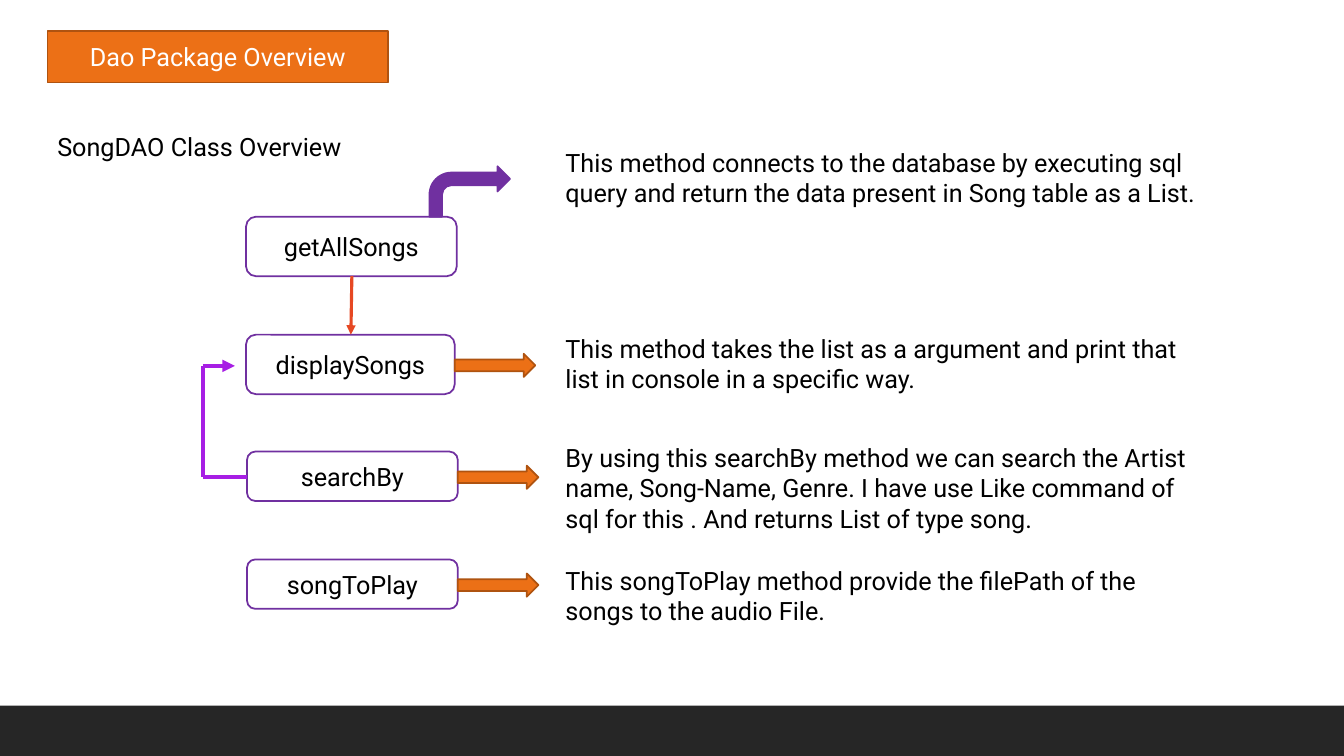
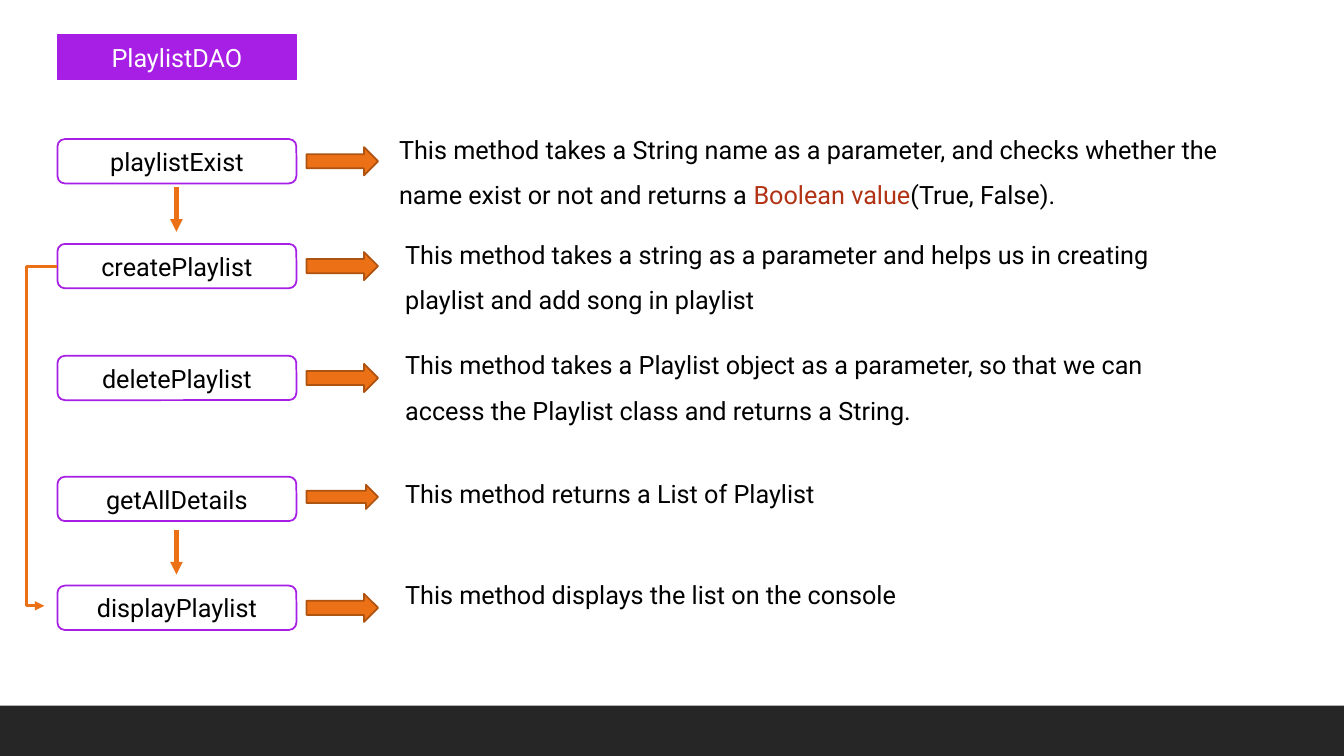
from dataclasses import dataclass

from lxml import etree
from pptx import Presentation
from pptx.dml.color import RGBColor
from pptx.enum.shapes import MSO_CONNECTOR, MSO_SHAPE
from pptx.enum.text import MSO_ANCHOR, MSO_AUTO_SIZE, PP_ALIGN
from pptx.oxml.ns import qn
from pptx.shapes.autoshape import Shape
from pptx.slide import Slide
from pptx.text.text import TextFrame
from pptx.util import Inches, Pt

ROUND = MSO_SHAPE.ROUNDED_RECTANGLE
RECT = MSO_SHAPE.RECTANGLE
RIGHT = MSO_SHAPE.RIGHT_ARROW
BENT = MSO_SHAPE.BENT_ARROW
LINE = MSO_CONNECTOR.STRAIGHT
LEFT, CENTER = PP_ALIGN.LEFT, PP_ALIGN.CENTER
MIDDLE, TOP = MSO_ANCHOR.MIDDLE, MSO_ANCHOR.TOP
GROW, FIXED = MSO_AUTO_SIZE.SHAPE_TO_FIT_TEXT, MSO_AUTO_SIZE.NONE

BLACK = RGBColor(0x00, 0x00, 0x00)
WHITE = RGBColor(0xFF, 0xFF, 0xFF)
DARK = RGBColor(0x26, 0x26, 0x26)
ORANGE = RGBColor(0xEC, 0x70, 0x16)
BROWN = RGBColor(0xAF, 0x53, 0x10)
PURPLE = RGBColor(0x70, 0x30, 0xA0)
VIOLET = RGBColor(0xA7, 0x1E, 0xE4)
RED = RGBColor(0xE6, 0x48, 0x23)
RUST = RGBColor(0xB2, 0x32, 0x14)

FONT = "Roboto"
SIZE = Pt(18)
EDGE = Pt(1.25)

Point = tuple[float, float]
Piece = tuple[str, RGBColor]


@dataclass
class Area:
    x: float
    y: float
    w: float
    h: float

    @property
    def mid(self) -> float:
        return self.y + self.h / 2

    def emu(self) -> tuple[int, int, int, int]:
        return Inches(self.x), Inches(self.y), Inches(self.w), Inches(self.h)


@dataclass
class Method:
    """A named box and the note that explains it."""
    name: str
    box: Area
    note: Area
    words: list[Piece]


def write(frame: TextFrame, words: list[Piece], *, align=LEFT, anchor=TOP,
          fit=FIXED, gap: float = 1.0) -> None:
    frame.word_wrap = True
    frame.auto_size = fit
    frame.vertical_anchor = anchor
    para = frame.paragraphs[0]
    para.alignment = align
    para.line_spacing = gap
    for text, color in words:
        run = para.add_run()
        run.text = text
        run.font.name = FONT
        run.font.size = SIZE
        run.font.color.rgb = color


def paint(shape: Shape, fill: RGBColor | None, edge: RGBColor | None) -> None:
    if fill is None:
        shape.fill.background()
    else:
        shape.fill.solid()
        shape.fill.fore_color.rgb = fill
    if edge is None:
        shape.line.fill.background()
    else:
        shape.line.color.rgb = edge
        shape.line.width = EDGE


def draw(slide: Slide, kind, area: Area, fill: RGBColor | None,
         edge: RGBColor | None = None) -> Shape:
    shape = slide.shapes.add_shape(kind, *area.emu())
    shape.shadow.inherit = False
    paint(shape, fill, edge)
    return shape


def note(slide: Slide, area: Area, words: list[Piece], gap: float = 1.0) -> None:
    box = slide.shapes.add_textbox(*area.emu())
    write(box.text_frame, words, fit=GROW, gap=gap)


def trace(slide: Slide, points: list[Point], color: RGBColor,
          width: float) -> None:
    """Join the points with lines; the last one carries the arrowhead."""
    for start, end in zip(points, points[1:]):
        line = slide.shapes.add_connector(
            LINE, *(Inches(n) for n in (*start, *end)))
        line.line.color.rgb = color
        line.line.width = Pt(width)
        props = line.element.spPr
        if end == points[-1]:
            etree.SubElement(props.find(qn("a:ln")), qn("a:tailEnd"),
                             type="triangle")
        etree.SubElement(props, qn("a:effectLst"))


def badge(slide: Slide, text: str, preset: str, area: Area,
          fill: RGBColor, edge: RGBColor) -> None:
    """Turn the title placeholder into a filled label."""
    title = slide.shapes.title
    title.left, title.top, title.width, title.height = area.emu()
    geom = etree.SubElement(title.element.spPr, qn("a:prstGeom"), prst=preset)
    etree.SubElement(geom, qn("a:avLst"))
    paint(title, fill, edge)
    write(title.text_frame, [(text, WHITE)], align=CENTER, anchor=MIDDLE)


def method(slide: Slide, item: Method, edge: RGBColor, gap: float = 1.0) -> None:
    box = draw(slide, ROUND, item.box, None, edge)
    write(box.text_frame, [(item.name, BLACK)], align=CENTER, anchor=MIDDLE)
    note(slide, item.note, item.words, gap)


def pointer(slide: Slide, x: float, mid: float, w: float, h: float) -> None:
    draw(slide, RIGHT, Area(x, mid - h / 2, w, h), ORANGE, BROWN)


def plain(text: str) -> list[Piece]:
    return [(text, BLACK)]


# Slide 1: methods of the song class
def songs(slide: Slide) -> None:
    badge(slide, "Dao Package Overview", "snip2DiagRect",
          Area(0.47, 0.31, 3.38, 0.51), ORANGE, BROWN)
    note(slide, Area(0.47, 1.25, 3.16, 0.4), plain("SongDAO Class Overview"))
    items = [
        Method("getAllSongs", Area(2.44, 2.15, 2.09, 0.59),
               Area(5.51, 1.41, 6.68, 0.71),
               plain("This method connects to the database by executing sql "
                     "query and return the data present in Song table as a List.")),
        Method("displaySongs", Area(2.44, 3.32, 2.07, 0.59),
               Area(5.51, 3.26, 6.53, 0.71),
               plain("This method takes the list as a argument and print that "
                     "list in console in a specific way.")),
        Method("searchBy", Area(2.45, 4.48, 2.09, 0.49),
               Area(5.51, 4.34, 6.42, 1.01),
               plain("By using this searchBy method we can search the Artist "
                     "name, Song-Name, Genre. I have use Like command of sql "
                     "for this . And returns List of type song.")),
        Method("songToPlay", Area(2.45, 5.55, 2.09, 0.49),
               Area(5.51, 5.56, 6.27, 0.71),
               plain("This songToPlay method provide the filePath of the songs "
                     "to the audio File.")),
    ]
    for item in items:
        method(slide, item, PURPLE)
    for item in items[1:]:
        pointer(slide, item.box.x + item.box.w, item.box.mid + 0.01, 0.8, 0.23)
    draw(slide, BENT, Area(4.26, 1.65, 0.8, 0.5), PURPLE, PURPLE)

    # Flow between the boxes
    trace(slide, [(3.49, 2.74), (3.48, 3.32)], RED, 2.25)
    trace(slide, [(2.45, 4.73), (2.01, 4.73), (2.01, 3.63), (2.33, 3.63)],
          VIOLET, 3)


# Slide 2: methods of the playlist class
def lists(slide: Slide) -> None:
    x, w, h = 0.57, 2.37, 0.44
    badge(slide, "PlaylistDAO", "roundRect", Area(x, 0.35, w, h), VIOLET, VIOLET)
    rows = [
        ("playlistExist", 1.38, Area(3.86, 1.13, 8.62, 0.95), 1.5,
         [("This method takes a String name as a parameter, and checks whether "
           "the name exist or not and returns a ", BLACK),
          ("Boolean value", RUST), ("(True, False).", BLACK)]),
        ("createPlaylist", 2.42, Area(3.92, 2.17, 7.72, 0.95), 1.5,
         plain("This method takes a string as a parameter and helps us in "
               "creating playlist and add song in playlist")),
        ("deletePlaylist", 3.53, Area(3.92, 3.27, 8.02, 0.95), 1.5,
         plain("This method takes a Playlist object as a parameter, so that we "
               "can access the Playlist class and returns a String.")),
        ("getAllDetails", 4.73, Area(3.92, 4.7, 7.56, 0.4), 1.0,
         plain("This method returns a List of Playlist")),
        ("displayPlaylist", 5.81, Area(3.92, 5.7, 7.38, 0.4), 1.0,
         plain("This method displays the list on the console")),
    ]
    for name, top, area, gap, words in rows:
        box = Area(x, top, w, h)
        method(slide, Method(name, box, area, words), VIOLET, gap)
        thin = name == "getAllDetails"
        pointer(slide, 3.04, box.mid - (0.02 if thin else 0), 0.71,
                0.24 if thin else 0.28)

    # Flow between the boxes
    for top in (1.86, 5.26):
        trace(slide, [(1.75, top), (1.75, top + 0.44)], ORANGE, 3)
    trace(slide, [(x, 2.64), (0.26, 2.64), (0.26, 6.01), (0.44, 6.01)],
          ORANGE, 2.25)


def main() -> None:
    deck = Presentation()
    deck.slide_width, deck.slide_height = Inches(13.33), Inches(7.5)
    layout = deck.slide_layouts[5]
    first, second = (deck.slides.add_slide(layout) for _ in range(2))

    # The footer band belongs to the master
    band = draw(first, RECT, Area(0, 7, 13.33, 0.5), DARK)
    deck.slide_master.shapes.element.insert(2, band.element)

    songs(first)
    lists(second)
    deck.save("out.pptx")


if __name__ == "__main__":
    main()
